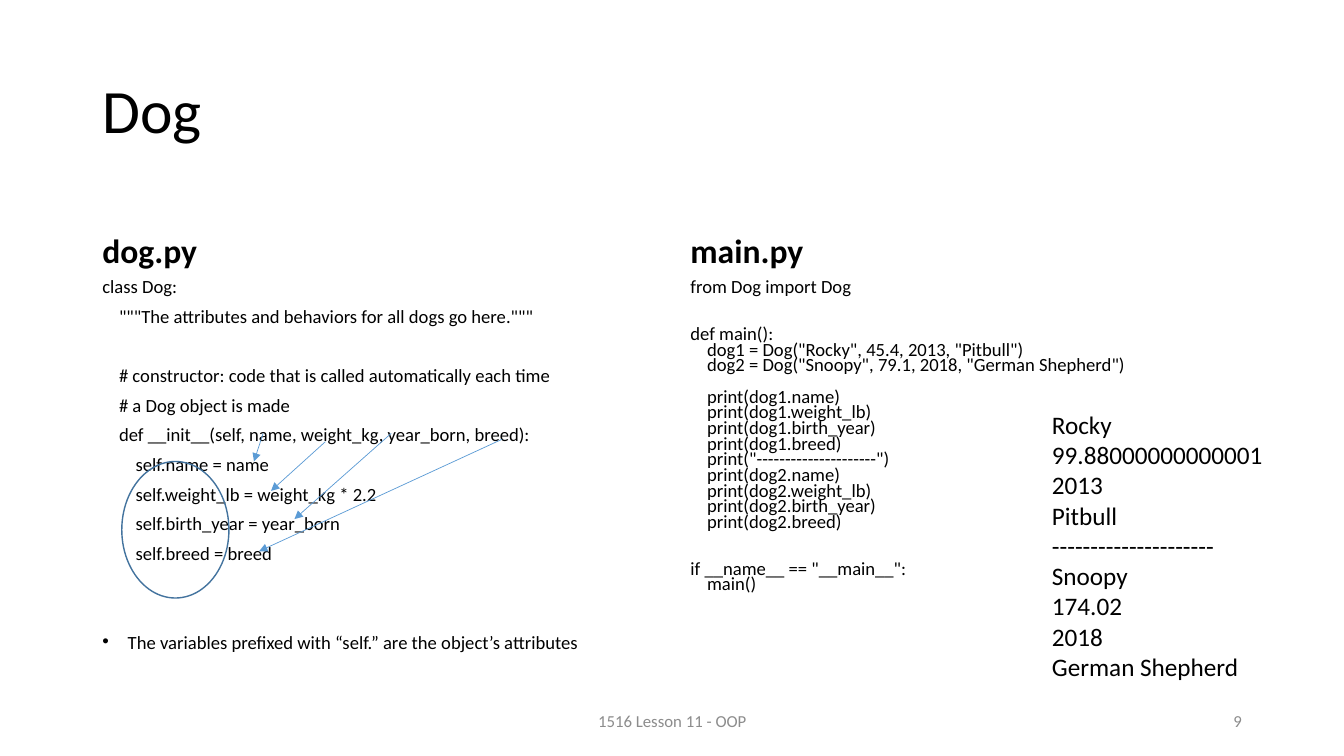
from pptx import Presentation
from pptx.dml.color import RGBColor
from pptx.enum.shapes import MSO_CONNECTOR, MSO_SHAPE
from pptx.enum.text import MSO_ANCHOR as Anchor, MSO_AUTO_SIZE as AutoSize, PP_ALIGN as Align
from pptx.oxml.ns import qn
from pptx.util import Cm, Pt
from lxml.etree import SubElement

COLORS = {"text": "000000", "muted": "8C8C8C", "arrow": "5B9BD5", "ring": "43739E"}
FONT = "Calibri"
CODE_SIZE, CODE_PITCH, INDENT = 13.3, 11.2, 0.42

# each code line: indent level, blank lines above, text
DOG_CODE = [
    (0, 0, "class Dog:"),
    (1, 0, '"""The attributes and behaviors for all dogs go here."""'),
    (1, 1, "# constructor: code that is called automatically each time"),
    (1, 0, "# a Dog object is made"),
    (1, 0, "def __init__(self, name, weight_kg, year_born, breed):"),
    (2, 0, "self.name = name"),
    (2, 0, "self.weight_lb = weight_kg * 2.2"),
    (2, 0, "self.birth_year = year_born"),
    (2, 0, "self.breed = breed"),
    (0, 2, "The variables prefixed with “self.” are the object’s attributes"),
]
MAIN_CODE = [
    (0, 0, "from Dog import Dog"),
    (0, 2, "def main():"),
    (1, 0, 'dog1 = Dog("Rocky", 45.4, 2013, "Pitbull")'),
    (1, 0, 'dog2 = Dog("Snoopy", 79.1, 2018, "German Shepherd")'),
    (1, 1, "print(dog1.name)"),
    (1, 0, "print(dog1.weight_lb)"),
    (1, 0, "print(dog1.birth_year)"),
    (1, 0, "print(dog1.breed)"),
    (1, 0, 'print("---------------------")'),
    (1, 0, "print(dog2.name)"),
    (1, 0, "print(dog2.weight_lb)"),
    (1, 0, "print(dog2.birth_year)"),
    (1, 0, "print(dog2.breed)"),
    (0, 2, 'if __name__ == "__main__":'),
    (1, 0, "main()"),
]
COLUMNS = [
    ("dog.py", DOG_CODE, 2.33, 14.33, 10),
    ("main.py", MAIN_CODE, 17.15, 14.4, 0),
]
OUTPUT = ["Rocky", "99.88000000000001", "2013", "Pitbull", "---------------------",
          "Snoopy", "174.02", "2018", "German Shepherd"]
FOOTERS = [
    ("1516 Lesson 11 - OOP", 11.23, 11.43, Align.CENTER),
    ("9", 23.93, 7.62, Align.RIGHT),
]
ARROWS = [
    (6.63, 10.92, 6.4, 11.63),
    (8.2, 11.13, 6.83, 12.37),
    (9.86, 10.92, 7.42, 13.08),
    (12.65, 11.07, 6.53, 13.89),
]


def color(name):
    return RGBColor.from_string(COLORS[name])


def write(tf, lines, size, anchor=Anchor.TOP, align=Align.LEFT, spacing=1.0, bold=False, ink="text"):
    tf.word_wrap = True
    tf.auto_size = AutoSize.NONE
    tf.vertical_anchor = anchor
    tf.text = "\n".join(lines)
    for p in tf.paragraphs:
        p.alignment = align
        p.line_spacing = spacing
        p.space_before = Pt(0)
        for r in p.runs:
            r.font.name = FONT
            r.font.size = Pt(size)
            r.font.bold = bold
            r.font.color.rgb = color(ink)


def text_box(x, y, w, h, lines, size, **style):
    tf = s.shapes.add_textbox(Cm(x), Cm(y), Cm(w), Cm(h)).text_frame
    write(tf, lines, size, **style)
    return tf


def bullet(p, hang):
    pPr = p._p.get_or_add_pPr()
    pPr.set("marL", str(Cm(hang)))
    pPr.set("indent", str(-Cm(hang)))
    SubElement(pPr, qn("a:buFont")).set("typeface", "Arial")
    SubElement(pPr, qn("a:buChar")).set("char", "•")


prs = Presentation()
prs.slide_width, prs.slide_height = Cm(33.87), Cm(19.05)
s = prs.slides.add_slide(prs.slide_layouts[5])

title = s.shapes.title
title.left, title.top, title.width, title.height = Cm(2.33), Cm(1.01), Cm(29.21), Cm(3.68)
write(title.text_frame, ["Dog"], 44, anchor=Anchor.MIDDLE, spacing=0.9)

for heading, code, x, w, gap in COLUMNS:
    text_box(x, 4.67, w, 2.29, [heading], 24, anchor=Anchor.BOTTOM, spacing=0.9, bold=True)
    tf = text_box(x, 6.96, w, 10.23, [line for _, _, line in code], CODE_SIZE, spacing=0.7)
    for p, (level, blanks, _) in zip(tf.paragraphs, code):
        p.space_before = Pt(round(gap + blanks * (CODE_PITCH + gap), 1))
        p._p.get_or_add_pPr().set("marL", str(Cm(level * INDENT)))
    if code is DOG_CODE:
        bullet(tf.paragraphs[-1], 0.64)

for line, x, w, align in FOOTERS:
    text_box(x, 17.66, w, 1.01, [line], 12, anchor=Anchor.MIDDLE, align=align, ink="muted")

marks = s.shapes.add_group_shape().shapes
for x1, y1, x2, y2 in ARROWS:
    arrow = marks.add_connector(MSO_CONNECTOR.STRAIGHT, Cm(x1), Cm(y1), Cm(x2), Cm(y2))
    arrow.line.color.rgb = color("arrow")
    arrow.line.width = Pt(0.5)
    SubElement(arrow.line._get_or_add_ln(), qn("a:tailEnd")).set("type", "triangle")
    SubElement(arrow._element.spPr, qn("a:effectLst"))

ring = marks.add_shape(MSO_SHAPE.OVAL, Cm(3.07), Cm(11.63), Cm(2.7), Cm(3.44))
ring.shadow.inherit = False
ring.fill.background()
ring.line.color.rgb = color("ring")
ring.line.width = Pt(1)

tf = text_box(26.26, 10.19, 6.93, 7.19, OUTPUT, 18)
tf.auto_size = AutoSize.SHAPE_TO_FIT_TEXT

prs.save("out.pptx")
